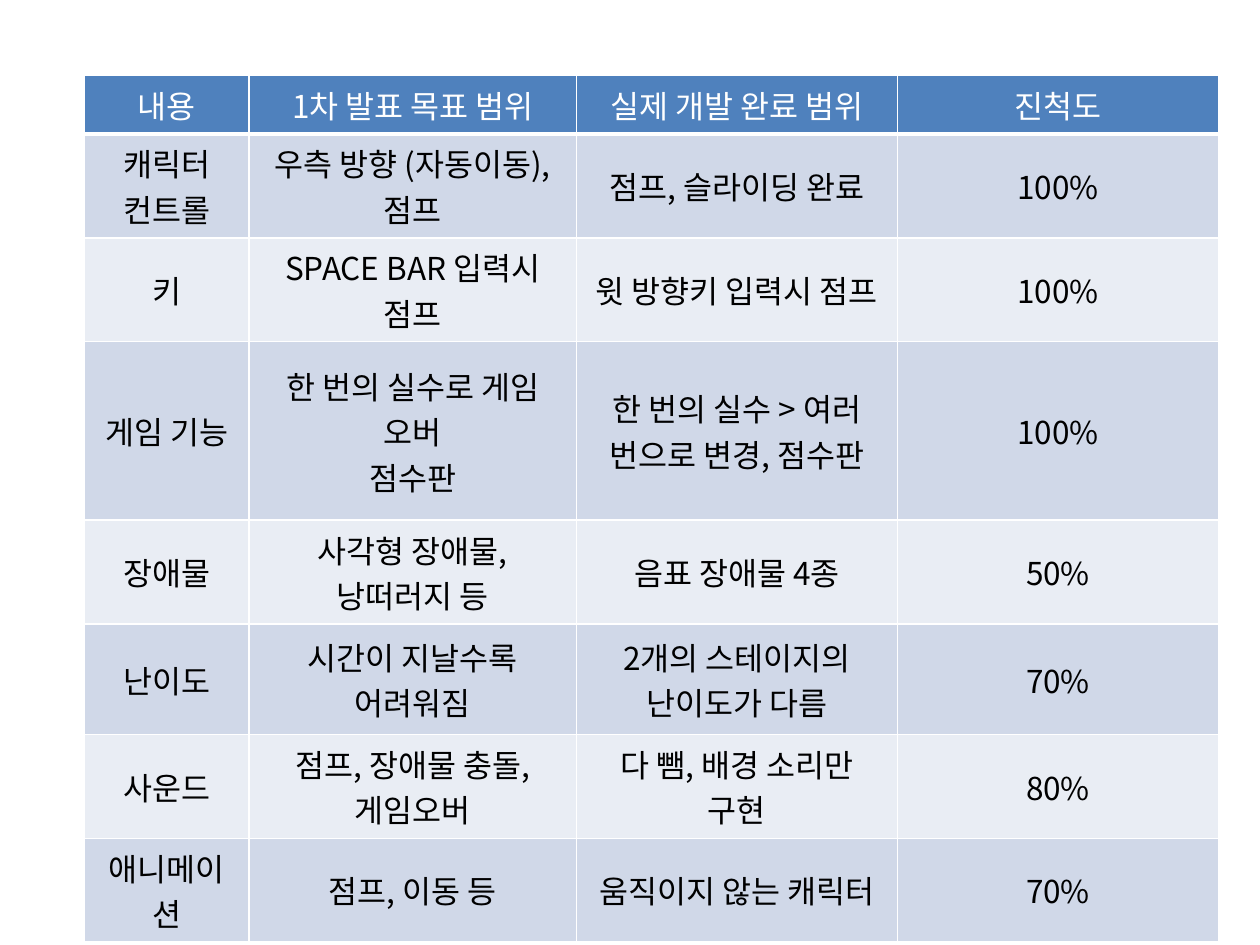
import pptx
import pptx.util
import pptx.dml.color
import pptx.enum.text
import pptx.oxml
import pptx.oxml.ns
import lxml.etree
from dataclasses import dataclass

Pt = pptx.util.Pt
RGB = pptx.dml.color.RGBColor.from_string

HEADER = ("내용", "1차 발표 목표 범위", "실제 개발 완료 범위", "진척도")
PROGRESS = [
    ("캐릭터 컨트롤", "우측 방향 (자동이동), 점프", "점프, 슬라이딩 완료", "100%"),
    ("키", "SPACE BAR 입력시 점프", "윗 방향키 입력시 점프", "100%"),
    ("게임 기능", "한 번의 실수로 게임 오버\n점수판", "한 번의 실수 > 여러 번으로 변경, 점수판", "100%"),
    ("장애물", "사각형 장애물, 낭떠러지 등", "음표 장애물 4종", "50%"),
    ("난이도", "시간이 지날수록 어려워짐", "2개의 스테이지의 난이도가 다름", "70%"),
    ("사운드", "점프, 장애물 충돌, 게임오버", "다 뺌, 배경 소리만 구현", "80%"),
    ("애니메이션", "점프, 이동 등", "움직이지 않는 캐릭터", "70%"),
]
COLUMN_WIDTHS = (94, 187, 183.5, 183.5)
ROW_HEIGHTS = (33, 59.4, 59.4, 102, 59.4, 63, 59.4, 59.4)
TABLE_LEFT, TABLE_TOP = 48.4, 43.2


@dataclass(frozen=True)
class Theme:
    font: str = "Noto Sans CJK KR"
    size: float = 18
    header_fill: str = "4F81BD"
    band_fills: tuple = ("D0D8E8", "E9EDF4")
    header_text: str = "FFFFFF"
    body_text: str = "000000"
    border: str = "FFFFFF"


THEME = Theme()


def write_text(cell, text, *, color, size=THEME.size, font=THEME.font,
               align=pptx.enum.text.PP_ALIGN.CENTER):
    cell.text = text
    cell.vertical_anchor = pptx.enum.text.MSO_ANCHOR.MIDDLE
    for paragraph in cell.text_frame.paragraphs:
        paragraph.alignment = align
        for run in paragraph.runs:
            run.font.size = Pt(size)
            run.font.name = font
            run.font.color.rgb = RGB(color)
            properties = run.font._element
            east_asian = lxml.etree.SubElement(properties, pptx.oxml.ns.qn("a:ea"))
            east_asian.set("typeface", font)


def set_borders(cell, bottom_width):
    properties = cell._tc.get_or_add_tcPr()
    widths = {"lnL": 1, "lnR": 1, "lnT": 1, "lnB": bottom_width}
    for position, (side, width) in enumerate(widths.items()):
        line = pptx.oxml.parse_xml(
            f'<a:{side} {pptx.oxml.ns.nsdecls("a")} w="{Pt(width)}"><a:solidFill>'
            f'<a:srgbClr val="{THEME.border}"/></a:solidFill></a:{side}>')
        properties.insert(position, line)


presentation = pptx.Presentation()
presentation.slide_width, presentation.slide_height = Pt(720), Pt(540)
slide = presentation.slides.add_slide(presentation.slide_layouts[6])

rows = [HEADER] + PROGRESS
table = slide.shapes.add_table(
    len(rows), len(HEADER), Pt(TABLE_LEFT), Pt(TABLE_TOP),
    Pt(sum(COLUMN_WIDTHS)), Pt(sum(ROW_HEIGHTS))).table
for column, width in zip(table.columns, COLUMN_WIDTHS):
    column.width = Pt(width)
for row, height in zip(table.rows, ROW_HEIGHTS):
    row.height = Pt(height)

for row_index, texts in enumerate(rows):
    is_header = row_index == 0
    fill = THEME.header_fill if is_header else THEME.band_fills[(row_index - 1) % 2]
    for column_index, text in enumerate(texts):
        cell = table.cell(row_index, column_index)
        cell.fill.solid()
        cell.fill.fore_color.rgb = RGB(fill)
        write_text(cell, text, color=THEME.header_text if is_header else THEME.body_text)
        for run in (run for paragraph in cell.text_frame.paragraphs for run in paragraph.runs):
            run.font.bold = False
        set_borders(cell, 3 if is_header else 1)

presentation.save("out.pptx")
